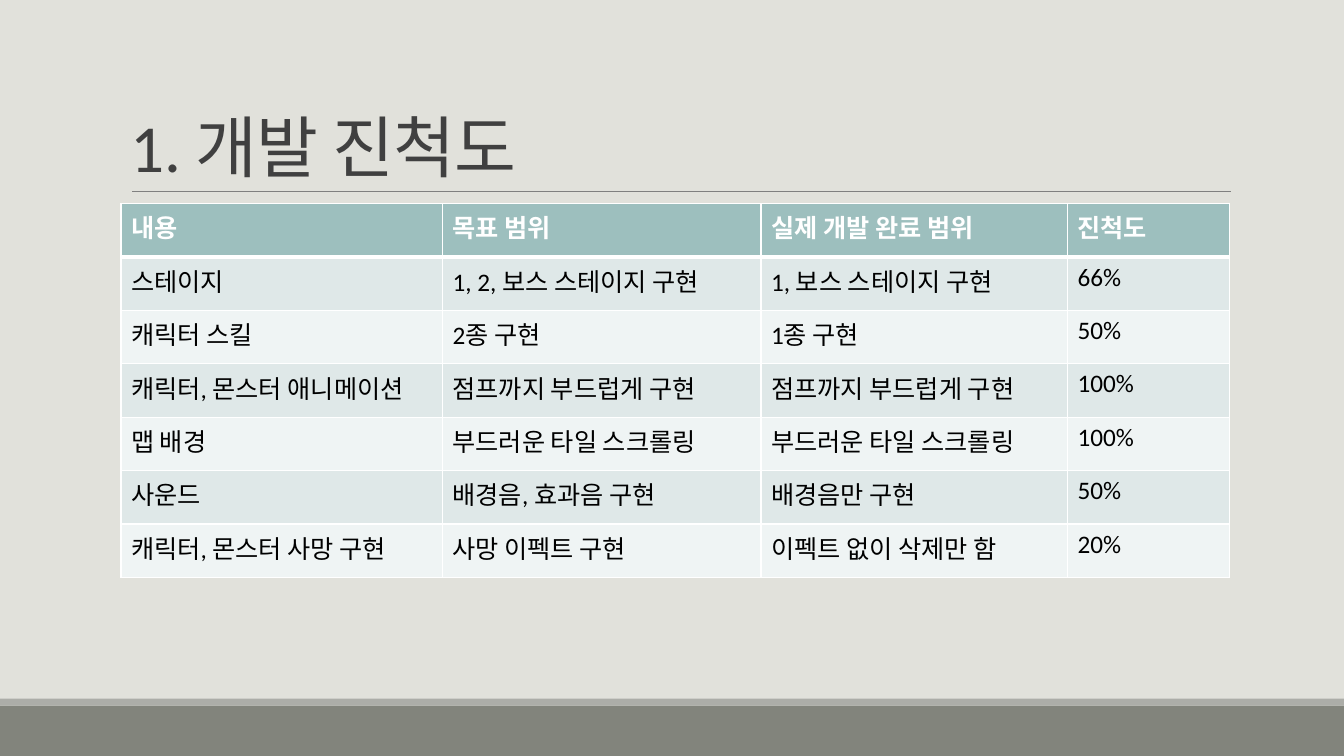
from lxml import etree
from pptx import Presentation
from pptx.dml.color import RGBColor
from pptx.enum import shapes, text
from pptx.oxml.ns import qn
from pptx.util import Pt

FONT = "Calibri"
WIDTHS = [229.7, 227.5, 218.9, 115.9]
ROWS = [
    ["내용", "목표 범위", "실제 개발 완료 범위", "진척도"],
    ["스테이지", "1, 2, 보스 스테이지 구현", "1, 보스 스테이지 구현", "66%"],
    ["캐릭터 스킬", "2종 구현", "1종 구현", "50%"],
    ["캐릭터, 몬스터 애니메이션", "점프까지 부드럽게 구현", "점프까지 부드럽게 구현", "100%"],
    ["맵 배경", "부드러운 타일 스크롤링", "부드러운 타일 스크롤링", "100%"],
    ["사운드", "배경음, 효과음 구현", "배경음만 구현", "50%"],
    ["캐릭터, 몬스터 사망 구현", "사망 이펙트 구현", "이펙트 없이 삭제만 함", "20%"],
]


def paint(fill, shade):
    fill.solid()
    fill.fore_color.rgb = RGBColor.from_string(shade)


def style(para, size, shade, bold=False):
    for run in para.runs:
        run.font.name = FONT
        run.font.size = Pt(size)
        run.font.bold = bold
        paint(run.font.fill, shade)


def add_band(slide, x, y, w, h, shade):
    band = slide.shapes.add_shape(
        shapes.MSO_SHAPE.RECTANGLE, Pt(x), Pt(y), Pt(w), Pt(h))
    band.shadow.inherit = False
    paint(band.fill, shade)
    band.line.fill.background()


def add_footer(slide, x, y, w, h):
    rim = 5
    add_band(slide, x, y + rim, w, h - rim, "82847C")
    add_band(slide, x, y, w, rim, "ACADA8")


def add_title(slide, x, y, w, h):
    rule = slide.shapes.add_connector(
        shapes.MSO_CONNECTOR.STRAIGHT, Pt(x + 8), Pt(y + h), Pt(x + w + 1), Pt(y + h))
    rule.line.width = Pt(0.5)
    paint(rule.line.fill, "808080")
    etree.SubElement(rule.element.spPr, qn("a:effectLst"))

    frame = slide.shapes.add_textbox(Pt(x), Pt(y), Pt(w), Pt(h)).text_frame
    frame.word_wrap = True
    frame.vertical_anchor = text.MSO_ANCHOR.BOTTOM
    para = frame.paragraphs[0]
    para.text = "1. 개발 진척도"
    para.line_spacing = 0.85
    style(para, 48, "404040")
    for run in para.runs:
        run.font._element.set("spc", "-50")


def add_edges(cell, top, base):
    props = cell._tc.get_or_add_tcPr()
    sides = [("L", 1), ("R", 1), ("T", top), ("B", base)]
    for spot, (side, width) in enumerate(sides):
        edge = etree.Element(qn("a:ln" + side), w=str(Pt(width)))
        fill = etree.SubElement(edge, qn("a:solidFill"))
        etree.SubElement(fill, qn("a:srgbClr"), val="FFFFFF")
        props.insert(spot, edge)


def add_grid(slide, x, y, w, h):
    grid = slide.shapes.add_table(
        len(ROWS), len(WIDTHS), Pt(x), Pt(y), Pt(w), Pt(h)).table
    for col, width in zip(grid.columns, WIDTHS):
        col.width = Pt(width)
    for r, row in enumerate(ROWS):
        grid.rows[r].height = Pt(h / len(ROWS))
        head = r == 0
        shade = "9DBFBE" if head else ("EFF4F4", "DFE8E8")[r % 2]
        for c, words in enumerate(row):
            cell = grid.cell(r, c)
            cell.text_frame.text = words
            style(cell.text_frame.paragraphs[0], 18,
                  "FFFFFF" if head else "000000", head)
            paint(cell.fill, shade)
            add_edges(cell, 3 if r == 1 else 1, 3 if head else 1)


def main():
    deck = Presentation()
    deck.slide_width, deck.slide_height = Pt(960), Pt(540)
    slide = deck.slides.add_slide(deck.slide_layouts[6])
    paint(slide.background.fill, "E1E1DB")
    add_footer(slide, 0, 499, 960, 41)
    add_title(slide, 86.4, 22.5, 792, 114)
    add_grid(slide, 86.4, 145.5, 792, 267)
    deck.save("out.pptx")


if __name__ == "__main__":
    main()
